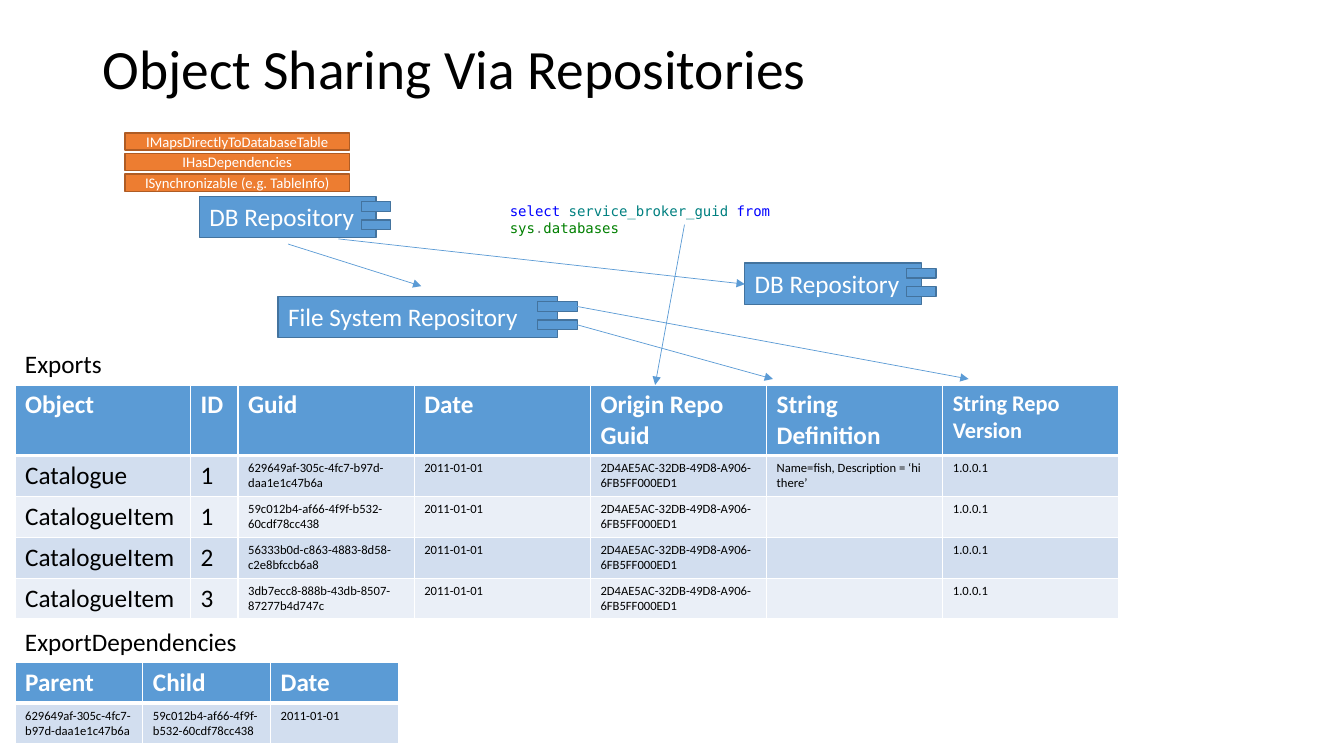
from dataclasses import dataclass

from lxml.etree import SubElement
from pptx import Presentation
from pptx.dml.color import RGBColor
from pptx.enum.shapes import MSO_CONNECTOR, MSO_SHAPE
from pptx.enum.text import MSO_ANCHOR as Anchor, MSO_AUTO_SIZE as AutoSize, PP_ALIGN as Align
from pptx.oxml.ns import qn
from pptx.util import Cm, Pt


@dataclass(frozen=True)
class Theme:
    font: str = "Calibri"
    mono: str = "DejaVu Sans Mono"
    title: float = 39.6
    body: float = 18
    narrow: float = 16
    label: float = 10.5
    code: float = 10
    small: float = 9
    black: str = "000000"
    white: str = "FFFFFF"
    blue: str = "5B9BD5"
    blue_edge: str = "43739E"
    orange: str = "ED7D31"
    orange_edge: str = "AF5C24"
    bands: tuple = ("D2DEEF", "EAEFF7")
    keyword: str = "0000FF"
    column: str = "008080"
    system: str = "008000"
    dot: str = "808080"


T = Theme()
ORIGIN = "2D4AE5AC-32DB-49D8-A906-6FB5FF000ED1"
EXPORTS = [
    ["Object", "ID", "Guid", "Date", "Origin Repo Guid", "String Definition", "String Repo Version"],
    ["Catalogue", "1", "629649af-305c-4fc7-b97d-daa1e1c47b6a", "2011-01-01", ORIGIN,
     "Name=fish, Description = ‘hi there’", "1.0.0.1"],
    ["CatalogueItem", "1", "59c012b4-af66-4f9f-b532-60cdf78cc438", "2011-01-01", ORIGIN, "", "1.0.0.1"],
    ["CatalogueItem", "2", "56333b0d-c863-4883-8d58-c2e8bfccb6a8", "2011-01-01", ORIGIN, "", "1.0.0.1"],
    ["CatalogueItem", "3", "3db7ecc8-888b-43db-8507-87277b4d747c", "2011-01-01", ORIGIN, "", "1.0.0.1"],
]
DEPENDENCIES = [
    ["Parent", "Child", "Date"],
    [EXPORTS[1][2], EXPORTS[2][2], "2011-01-01"],
]
QUERY = [("select ", T.keyword), ("service_broker_guid ", T.column), ("from ", T.keyword),
         ("sys", T.system), (".", T.dot), ("databases", T.system)]
ARROWS = [
    (17.25, 5.66, 16.51, 9.7),   # query to origin column
    (7.26, 6.15, 10.62, 7.21),   # database to file system
    (14.53, 8.18, 19.48, 9.55),  # file system to definition column
    (14.53, 7.72, 24.41, 9.55),  # file system to version column
    (8.53, 6.02, 18.77, 7.16),   # database to database
]


def rgb(color):
    return RGBColor.from_string(color)


def style(font, size, color, name=T.font, bold=False):
    font.name, font.size, font.bold = name, Pt(size), bold
    font.color.rgb = rgb(color)


def write(tf, text, size, color):
    tf.text = text
    for r in tf.paragraphs[0].runs:
        style(r.font, size, color)


def add_box(shapes, x, y, w, h, fill, edge):
    sp = shapes.add_shape(MSO_SHAPE.RECTANGLE, Cm(x), Cm(y), Cm(w), Cm(h))
    sp.shadow.inherit = False
    sp.fill.solid()
    sp.fill.fore_color.rgb = rgb(fill)
    sp.line.color.rgb = rgb(edge)
    sp.line.width = Pt(1)
    return sp


def add_title(s, x, y, w, h, text):
    sp = s.shapes.title
    sp.left, sp.top, sp.width, sp.height = Cm(x), Cm(y), Cm(w), Cm(h)
    tf = sp.text_frame
    write(tf, text, T.title, T.black)
    tf.auto_size = AutoSize.NONE
    tf.vertical_anchor = Anchor.MIDDLE
    tf.paragraphs[0].alignment = Align.LEFT
    tf.paragraphs[0].line_spacing = 0.9


def add_interfaces(s, x, y, w, h, names):
    for i, name in enumerate(names):
        sp = add_box(s.shapes, x, y + 0.52 * i, w, h, T.orange, T.orange_edge)
        tf = sp.text_frame
        write(tf, name, T.label, T.white)
        tf.vertical_anchor = Anchor.MIDDLE
        tf.paragraphs[0].alignment = Align.CENTER


def add_repository(s, x, y, w, h, name, tab):
    shapes = s.shapes.add_group_shape().shapes
    tf = add_box(shapes, x, y, w, h, T.blue, T.blue_edge).text_frame
    write(tf, name, T.body, T.white)
    tf.vertical_anchor = Anchor.TOP
    tf.paragraphs[0].alignment = Align.LEFT
    # Two component tabs straddle the right edge
    for offset in (0.13, 0.59):
        add_box(shapes, x + w - tab / 2, y + offset, tab, 0.25, T.blue, T.blue_edge)


def add_label(s, x, y, w, h, text):
    tf = s.shapes.add_textbox(Cm(x), Cm(y), Cm(w), Cm(h)).text_frame
    tf.word_wrap = False
    write(tf, text, T.body, T.black)


def add_query(s, x, y, w, h):
    tf = s.shapes.add_textbox(Cm(x), Cm(y), Cm(w), Cm(h)).text_frame
    tf.word_wrap = True
    for text, color in QUERY:
        r = tf.paragraphs[0].add_run()
        r.text = text
        style(r.font, T.code, color, T.mono)


def add_arrow(s, x1, y1, x2, y2):
    cx = s.shapes.add_connector(MSO_CONNECTOR.STRAIGHT, Cm(x1), Cm(y1), Cm(x2), Cm(y2))
    cx.line.color.rgb = rgb(T.blue)
    cx.line.width = Pt(0.5)
    SubElement(cx.line._get_or_add_ln(), qn("a:tailEnd"), type="triangle")
    SubElement(cx._element.spPr, qn("a:effectLst"))


def set_borders(cell, bottom):
    tc_pr = cell._tc.get_or_add_tcPr()
    for side, width in (("L", 1), ("R", 1), ("T", 1), ("B", bottom)):
        ln = SubElement(tc_pr, qn(f"a:ln{side}"), w=str(Pt(width)))
        SubElement(SubElement(ln, qn("a:solidFill")), qn("a:srgbClr"), val=T.white)


def add_grid(s, x, y, widths, row_height, rows, large_columns=0, narrow_column=None):
    table = s.shapes.add_table(len(rows), len(widths), Cm(x), Cm(y),
                               Cm(sum(widths)), Cm(row_height * len(rows))).table
    for col, width in zip(table.columns, widths):
        col.width = Cm(width)
    for i, row in enumerate(rows):
        table.rows[i].height = Cm(row_height)
        header = i == 0
        for j, text in enumerate(row):
            cell = table.cell(i, j)
            set_borders(cell, 3 if header else 1)
            cell.fill.solid()
            cell.fill.fore_color.rgb = rgb(T.blue if header else T.bands[(i - 1) % 2])
            if header:
                size = T.narrow if j == narrow_column else T.body
            else:
                size = T.body if j < large_columns else T.small
            p = cell.text_frame.paragraphs[0]
            p.text = text
            for r in p.runs:
                style(r.font, size, T.white if header else T.black, bold=header)


def build_slide(prs):
    s = prs.slides.add_slide(prs.slide_layouts[5])
    add_title(s, 2.33, 1.02, 29.21, 1.55, "Object Sharing Via Repositories")

    # Repositories and their interfaces
    add_interfaces(s, 3.15, 3.35, 5.66, 0.43, [
        "IMapsDirectlyToDatabaseTable", "IHasDependencies", "ISynchronizable (e.g. TableInfo)"])
    add_repository(s, 5.03, 4.95, 4.45, 1.04, "DB Repository", 0.74)
    add_repository(s, 7.01, 7.47, 7.04, 1.04, "File System Repository", 1)
    add_repository(s, 18.77, 6.63, 4.45, 1.04, "DB Repository", 0.74)
    add_query(s, 12.6, 4.98, 9.32, 0.69)

    # Tables with their labels
    add_label(s, 0.38, 8.66, 2.46, 1.02, "Exports")
    add_grid(s, 0.38, 9.7, [4.42, 1.2] + [4.44] * 5, 1.03, EXPORTS, 2, 6)
    add_label(s, 0.38, 15.67, 5.92, 1.02, "ExportDependencies")
    add_grid(s, 0.38, 16.69, [3.22] * 3, 1.03, DEPENDENCIES)

    # Arrows
    for ends in ARROWS:
        add_arrow(s, *ends)


def main():
    prs = Presentation()
    prs.slide_width, prs.slide_height = Cm(33.87), Cm(19.05)
    build_slide(prs)
    prs.save("out.pptx")


if __name__ == "__main__":
    main()
